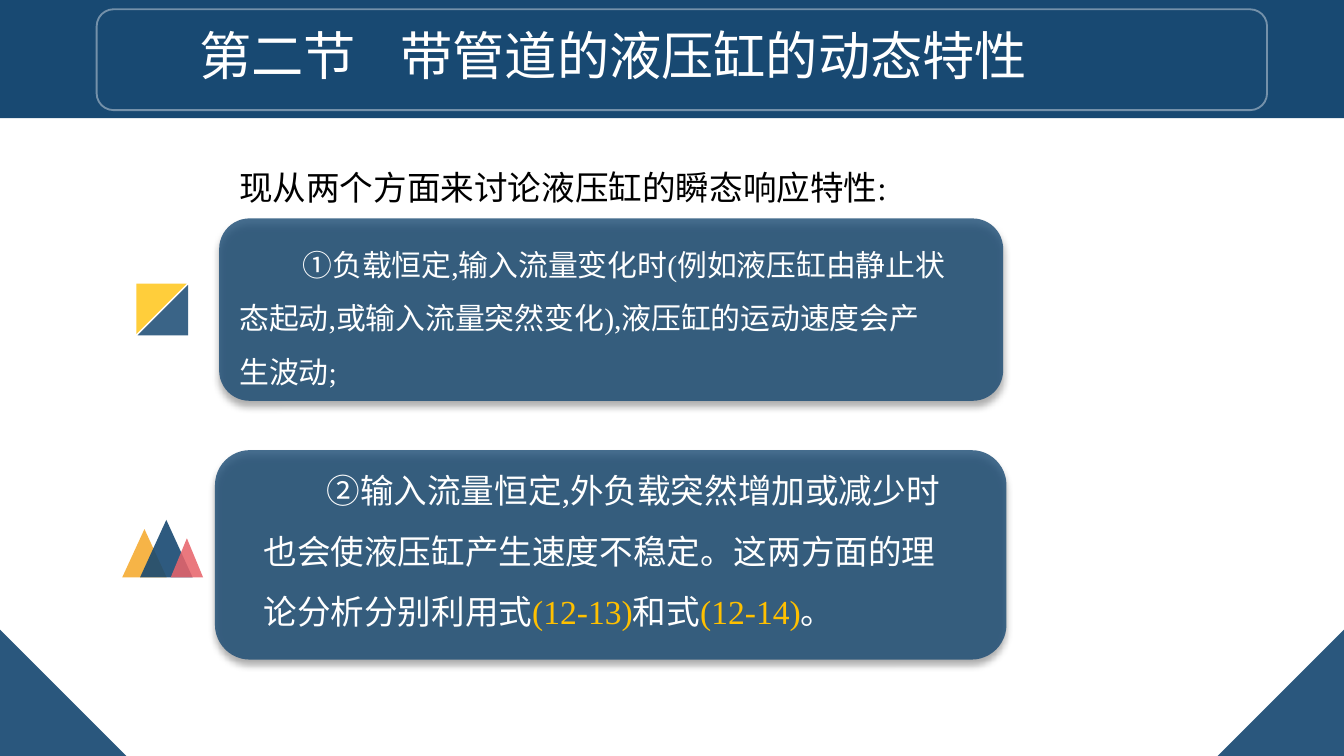
from pptx import Presentation
from pptx.dml.color import RGBColor
from pptx.enum.shapes import MSO_SHAPE
from pptx.enum.text import MSO_ANCHOR, MSO_AUTO_SIZE, PP_ALIGN
from pptx.oxml.ns import qn
from pptx.util import Pt
from lxml import etree

RECT, ROUND = MSO_SHAPE.RECTANGLE, MSO_SHAPE.ROUNDED_RECTANGLE
TRIANGLE, CORNER = MSO_SHAPE.ISOSCELES_TRIANGLE, MSO_SHAPE.RIGHT_TRIANGLE
TOP, LEFT, NO_FIT = MSO_ANCHOR.TOP, PP_ALIGN.LEFT, MSO_AUTO_SIZE.NONE

NAVY = RGBColor(0x18, 0x49, 0x72)
GOLD = RGBColor(0xFF, 0xC0, 0x00)
ORANGE = RGBColor(0xF4, 0x9F, 0x14)
PINK = RGBColor(0xE8, 0x64, 0x6B)
WHITE = RGBColor(0xFF, 0xFF, 0xFF)
BLACK = RGBColor(0x00, 0x00, 0x00)
FONT = "Times New Roman"
WIDTH, HEIGHT = 720, 405


def set_alpha(parent, percent):
    """Make the solid fill under the given element partly transparent."""
    color = parent.find(qn("a:solidFill"))[0]
    etree.SubElement(color, qn("a:alpha"), val=str(percent * 1000))


def add_shape(s, kind, box, color=None, alpha=100, rotation=0):
    """Add a borderless preset shape, filled when a colour is given."""
    sp = s.shapes.add_shape(kind, *map(Pt, box))
    sp.shadow.inherit = False
    sp.line.fill.background()
    sp.rotation = rotation
    if color is None:
        sp.fill.background()
    else:
        sp.fill.solid()
        sp.fill.fore_color.rgb = color
        set_alpha(sp.element.spPr, alpha)
    return sp


def add_shadow(sp):
    """Give a shape a soft shadow straight below it."""
    effects = sp.element.spPr.find(qn("a:effectLst"))
    shadow = etree.SubElement(effects, qn("a:outerShdw"), blurRad=str(Pt(4)),
                              dist=str(Pt(3)), dir="5400000", rotWithShape="0")
    color = etree.SubElement(shadow, qn("a:srgbClr"), val=str(BLACK))
    etree.SubElement(color, qn("a:alpha"), val="40000")


def write(sp, box, runs, size, spacing=1.5, indent=0, tab=None):
    """Place a text shape in front and fill it with coloured runs."""
    sp.left, sp.top, sp.width, sp.height = map(Pt, box)
    sp.element.getparent().append(sp.element)
    tf = sp.text_frame
    tf.word_wrap = True
    tf.auto_size = NO_FIT
    tf.vertical_anchor = TOP
    p = tf.paragraphs[0]
    p.alignment = LEFT
    p.line_spacing = spacing
    p.space_before = Pt(0)
    pPr = p._p.get_or_add_pPr()
    pPr.set("marL", "0")
    pPr.set("indent", str(Pt(indent)))
    etree.SubElement(pPr, qn("a:buNone"))
    if tab:
        tabs = etree.SubElement(pPr, qn("a:tabLst"))
        etree.SubElement(tabs, qn("a:tab"), pos=str(Pt(tab)), algn="l")
    for text, color in runs:
        r = p.add_run()
        r.text = text
        r.font.size = Pt(size)
        r.font.name = FONT
        r.font.color.rgb = color


def add_header(s, box, title):
    """Draw the title band with its outlined frame and the title."""
    x, y, w, h = box
    add_shape(s, RECT, box, NAVY)
    frame = add_shape(s, ROUND, (x + 51.8, y + 5, w - 93, h - 9.3))
    frame.line.color.rgb = WHITE
    frame.line.width = Pt(1)
    set_alpha(frame.element.spPr.find(qn("a:ln")), 40)
    write(s.shapes.title, (x + 99.4, y + 8.6, w - 118.8, 41),
          [(title, WHITE)], 28, spacing=1, tab=102.5)


def add_corners(s, box, side):
    """Fill both bottom corners of the box with triangles."""
    x, y, w, h = box
    top = y + h - side
    add_shape(s, CORNER, (x, top, side, side), NAVY, 92)
    add_shape(s, CORNER, (x + w - side, top, side, side), NAVY, 92, 270)


def add_split_square(s, box):
    """Draw a square icon cut along its diagonal."""
    x, y, w, h = box
    add_shape(s, CORNER, (x + 0.7, y + 0.7, w, h), NAVY, 85, 270)
    add_shape(s, CORNER, box, GOLD, 77, 90)


def add_peaks(s, box):
    """Draw an icon of three overlapping peaks on one baseline."""
    x, y, w, h = box
    peaks = [(0, 0.55, 0.84, ORANGE, 78), (0.22, 0.65, 1, NAVY, 90),
             (0.6, 0.4, 0.68, PINK, 87)]
    for left, wide, tall, color, alpha in peaks:
        add_shape(s, TRIANGLE, (x + left * w, y + (1 - tall) * h,
                                wide * w, tall * h), color, alpha)


def add_card(s, box, body, inset, runs, size):
    """Draw a rounded card and set a body placeholder on it."""
    x, y, w, h = box
    left, top, right = inset
    add_shadow(add_shape(s, ROUND, box, NAVY, 80))
    write(body, (x + left, y + top, w - left - right, h - top),
          runs, size, indent=33.84)


def add_intro(s, box, text):
    """Add the line that leads into the cards."""
    write(s.shapes.add_textbox(*map(Pt, box)), box, [(text, BLACK)], 18)


def main():
    """Build the slide and save it."""
    prs = Presentation()
    prs.slide_width, prs.slide_height = Pt(WIDTH), Pt(HEIGHT)
    s = prs.slides.add_slide(prs.slide_layouts[3])
    first, second = s.placeholders[1], s.placeholders[2]
    add_header(s, (0, 0, WIDTH, 63.3), "第二节\t带管道的液压缸的动态特性")
    add_corners(s, (0, 0, WIDTH, HEIGHT), 67.7)
    add_split_square(s, (73, 152, 27, 27))
    add_peaks(s, (65.5, 278.5, 43.3, 30.8))
    add_intro(s, (121, 74.9, 380, 36), "现从两个方面来讨论液压缸的瞬态响应特性:")
    add_card(s, (117.4, 117, 420, 97.7), first, (3.6, 1.8, 22.5), [
        ("①负载恒定,输入流量变化时(例如液压缸由静止状态起动,"
         "或输入流量突然变化),液压缸的运动速度会产生波动;", WHITE)], 16)
    add_card(s, (115.2, 241.2, 424, 112.2), second, (18.7, -3.6, 24.4), [
        ("②输入流量恒定,外负载突然增加或减少时也会使液压缸产生速度不稳定。"
         "这两方面的理论分析分别利用式", WHITE),
        ("(12-13)", GOLD), ("和式", WHITE), ("(12-14)", GOLD), ("。", WHITE)], 18)
    prs.save("out.pptx")


if __name__ == "__main__":
    main()
